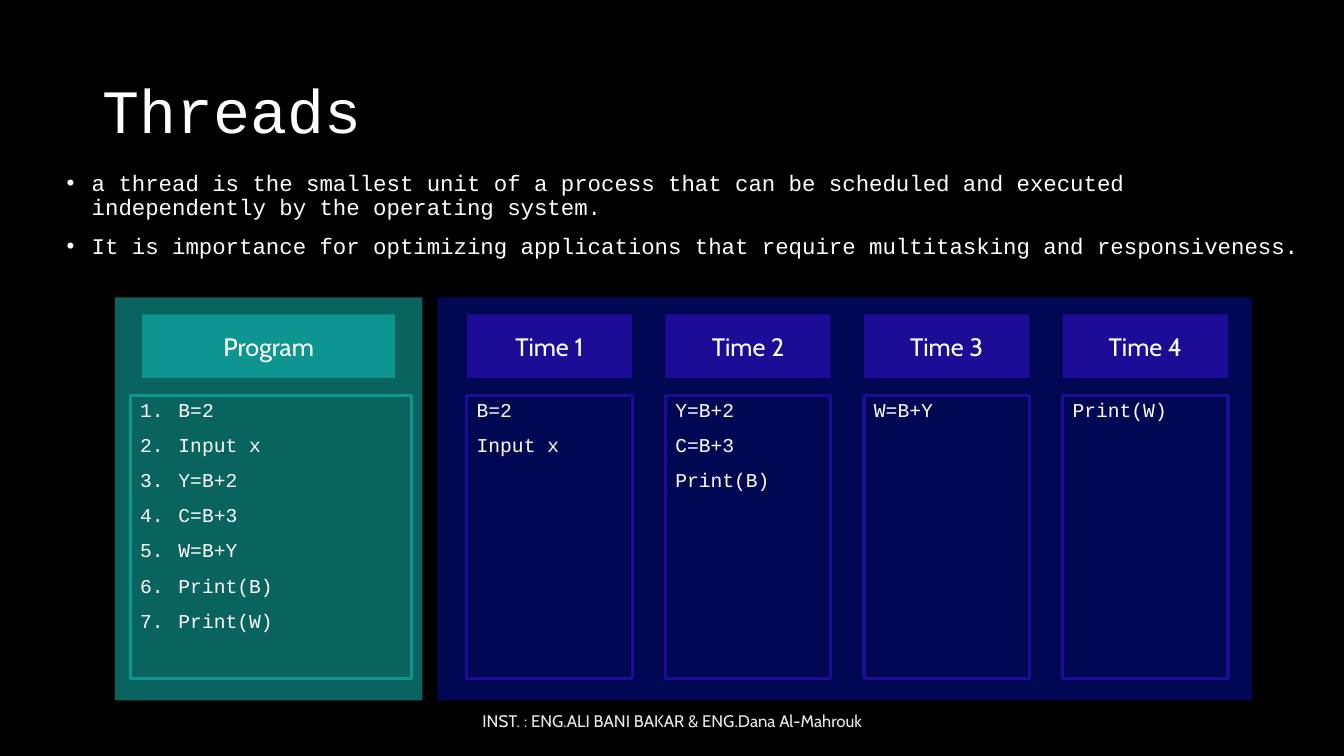
from lxml.etree import SubElement
from pptx import Presentation
from pptx.dml.color import RGBColor
from pptx.enum.shapes import MSO_SHAPE
from pptx.enum.text import MSO_ANCHOR, MSO_AUTO_SIZE, PP_ALIGN
from pptx.oxml.ns import qn
from pptx.util import Inches, Pt

CODE, LABEL = "Courier New", "Cabin"
WHITE, TEAL, DARK_TEAL, INDIGO, NAVY = "FFFFFF", "0D958F", "09635F", "1C0C96", "000854"
HEADER_TOP, HEADER_HEIGHT = 3.12, 0.63
FRAME_TOP, FRAME_HEIGHT = 3.92, 2.81
PANEL_TOP, PANEL_HEIGHT = 2.95, 4
TIME_LEFT, TIME_PITCH, TIME_WIDTH = 4.63, 1.97, 1.64

DEFINITIONS = [
    "a thread is the smallest unit of a process that can be scheduled and executed "
    "independently by the operating system.",
    "It is importance for optimizing applications that require multitasking and responsiveness.",
]
PROGRAM = ["B=2", "Input x", "Y=B+2", "C=B+3", "W=B+Y", "Print(B)", "Print(W)"]
SCHEDULE = [["B=2", "Input x"], ["Y=B+2", "C=B+3", "Print(B)"], ["W=B+Y"], ["Print(W)"]]


def color(hex_text):
    return RGBColor.from_string(hex_text)


def place(shape, left, top, width, height):
    shape.left, shape.top = Inches(left), Inches(top)
    shape.width, shape.height = Inches(width), Inches(height)


def add_bullet(paragraph, indent, numbered):
    properties = paragraph._p.get_or_add_pPr()
    properties.set("marL", str(Inches(indent)))
    properties.set("indent", str(-Inches(indent)))
    if numbered:
        SubElement(properties, qn("a:buFont"), typeface="+mj-lt")
        SubElement(properties, qn("a:buAutoNum"), type="arabicPeriod")
    else:
        SubElement(properties, qn("a:buFont"), typeface="Arial")
        SubElement(properties, qn("a:buChar"), char="•")


def write(shape, lines, size, font, ink=WHITE, align=PP_ALIGN.LEFT,
          anchor=MSO_ANCHOR.MIDDLE, spacing=None, indent=0, numbered=False):
    frame = shape.text_frame
    frame.word_wrap = True
    frame.auto_size = MSO_AUTO_SIZE.NONE
    frame.vertical_anchor = anchor
    for index, line in enumerate(lines):
        paragraph = frame.add_paragraph() if index else frame.paragraphs[0]
        if indent:
            add_bullet(paragraph, indent, numbered)
        paragraph.alignment = align
        paragraph.line_spacing = spacing
        paragraph.space_before = Pt(10 if index else 0)
        run = paragraph.add_run()
        run.text = line
        run.font.size = Pt(size)
        run.font.name = font
        run.font.color.rgb = color(ink)


def write_code(shape, lines, size=14, **bullets):
    write(shape, lines, size, CODE, anchor=MSO_ANCHOR.TOP, spacing=0.9, **bullets)


def add_block(slide, left, top, width, height, fill):
    block = slide.shapes.add_shape(
        MSO_SHAPE.RECTANGLE, Inches(left), Inches(top), Inches(width), Inches(height))
    block.shadow.inherit = False
    block.line.fill.background()
    block.fill.solid()
    block.fill.fore_color.rgb = color(fill)
    return block


def add_panel(slide, left, width, fill):
    panel = add_block(slide, left, PANEL_TOP, width, PANEL_HEIGHT, fill)
    slide.shapes.title.element.addprevious(panel.element)


def add_header(slide, left, width, fill, label):
    header = add_block(slide, left, HEADER_TOP, width, HEADER_HEIGHT, fill)
    write(header, [label], 18, LABEL, align=PP_ALIGN.CENTER)


def outline(shape, edge):
    shape.fill.background()
    shape.line.color.rgb = color(edge)
    shape.line.width = Pt(2.25)


def add_time_slot(slide, index, steps):
    left = TIME_LEFT + index * TIME_PITCH
    add_header(slide, left, TIME_WIDTH, INDIGO, f"Time {index + 1}")
    slot = add_block(slide, left, FRAME_TOP, TIME_WIDTH, FRAME_HEIGHT, NAVY)
    outline(slot, INDIGO)
    write_code(slot, steps)


def add_footer(slide):
    footer = slide.shapes.add_textbox(Inches(4.42), Inches(6.95), Inches(4.5), Inches(0.4))
    write(footer, ["INST. : ENG.ALI BANI BAKAR & ENG.Dana Al-Mahrouk"], 12, LABEL,
          ink="EAEAEA", align=PP_ALIGN.CENTER)


def main():
    deck = Presentation()
    deck.slide_width, deck.slide_height = Inches(13.33), Inches(7.5)
    slide = deck.slides.add_slide(deck.slide_layouts.get_by_name("Two Content"))
    slide.background.fill.solid()
    slide.background.fill.fore_color.rgb = color("000000")

    title, definitions, program = list(slide.placeholders)[:3]
    place(title, 0.92, 0.4, 11.5, 1.45)
    write(title, ["Threads"], 44, CODE, spacing=0.9)
    place(definitions, 0.56, 1.66, 12.44, 1.2)
    write_code(definitions, DEFINITIONS, size=16, indent=0.25)

    add_panel(slide, 1.14, 3.05, DARK_TEAL)
    add_header(slide, 1.41, 2.51, TEAL, "Program")
    place(program, 1.29, FRAME_TOP, 2.79, FRAME_HEIGHT)
    outline(program, TEAL)
    write_code(program, PROGRAM, indent=0.38, numbered=True)

    add_panel(slide, 4.34, 8.08, NAVY)
    for index, steps in enumerate(SCHEDULE):
        add_time_slot(slide, index, steps)
    add_footer(slide)
    deck.save("out.pptx")


if __name__ == "__main__":
    main()
